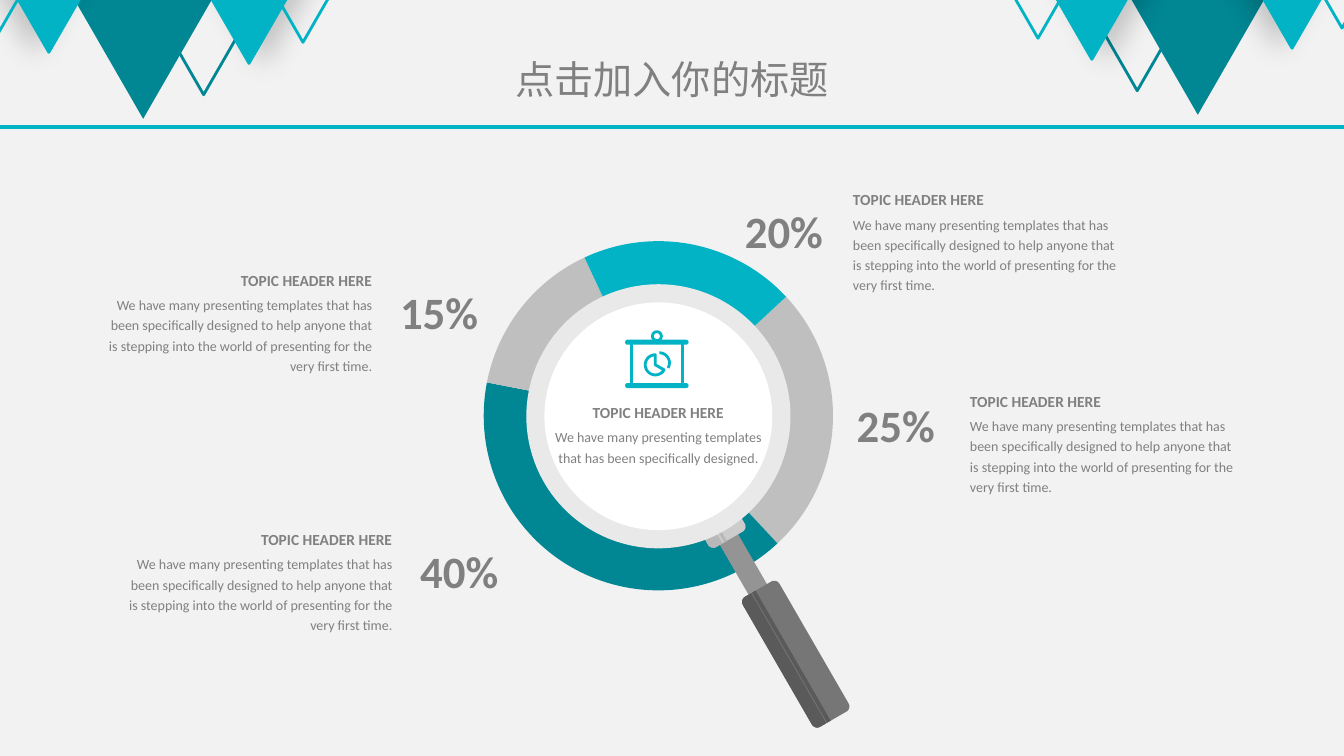
from math import cos, radians, sin

from lxml import etree
from pptx import Presentation
from pptx.chart.data import CategoryChartData
from pptx.dml.color import RGBColor
from pptx.enum.chart import XL_CHART_TYPE as Chart
from pptx.enum.shapes import MSO_CONNECTOR as Connector, MSO_SHAPE as Preset
from pptx.enum.text import PP_ALIGN as Align
from pptx.oxml import parse_xml
from pptx.oxml.ns import nsdecls, qn
from pptx.util import Inches, Pt

BACKDROP = RGBColor(0xF2, 0xF2, 0xF2)
CYAN = RGBColor(0x01, 0xB3, 0xC5)
TEAL = RGBColor(0x01, 0x86, 0x94)
TEXT_GREY = RGBColor(0x80, 0x80, 0x80)
RING_GREY = RGBColor(0xBF, 0xBF, 0xBF)
RIM = RGBColor(0xE9, 0xE9, 0xE9)
WHITE = RGBColor(0xFF, 0xFF, 0xFF)
STEM = RGBColor(0x94, 0x94, 0x94)
COLLAR = RGBColor(0xCC, 0xCC, 0xCC)
COLLAR_SHADE = RGBColor(0xB8, 0xB8, 0xB8)
GRIP = RGBColor(0x76, 0x76, 0x76)
GRIP_SHADE = RGBColor(0x5A, 0x5A, 0x5A)

HEADER = "TOPIC HEADER HERE"
INTRO = "We have many presenting templates that has been specifically designed"
STORY = (INTRO + " to help anyone that is stepping into the world of presenting"
         " for the very first time.")


def add_text(slide, box, lines, align=Align.LEFT, font="Calibri", spacing=1.2):
    """Add a text box whose lines are (text, size, bold)."""
    frame = slide.shapes.add_textbox(*map(Inches, box)).text_frame
    frame.word_wrap = True
    frame.margin_left = frame.margin_right = frame.margin_top = frame.margin_bottom = 0
    for index, (words, size, bold) in enumerate(lines):
        paragraph = frame.add_paragraph() if index else frame.paragraphs[0]
        paragraph.alignment, paragraph.line_spacing = align, spacing
        paragraph.space_before = Pt(3 if index else 0)
        run = paragraph.add_run()
        run.text = words
        run.font.size, run.font.bold, run.font.name = Pt(size), bold, font
        run.font.color.rgb = TEXT_GREY
        etree.SubElement(run.font._element, qn("a:ea")).set("typeface", font)


def paint(shape, fill=None, line=None, width=2):
    """Give a shape a flat fill and outline."""
    shape.shadow.inherit = False
    if fill is None:
        shape.fill.background()
    else:
        shape.fill.solid()
        shape.fill.fore_color.rgb = fill
    if line is None:
        shape.line.fill.background()
    else:
        shape.line.color.rgb = line
        shape.line.width = Pt(width)
    return shape


def add_preset(slide, kind, box, **style):
    """Add a painted preset shape."""
    return paint(slide.shapes.add_shape(kind, *map(Inches, box)), **style)


def add_outline(slide, points, close=True, **style):
    """Add a painted freeform through points given in inches."""
    start, *rest = [(Inches(x), Inches(y)) for x, y in points]
    builder = slide.shapes.build_freeform(*start)
    builder.add_line_segments(rest, close=close)
    return paint(builder.convert_to_shape(), **style)


def arc(x, y, radius, start, end, steps=8):
    """Return points along an arc, with angles in degrees."""
    angles = [radians(start + (end - start) * i / steps) for i in range(steps + 1)]
    return [(x + radius * cos(a), y + radius * sin(a)) for a in angles]


def add_pennant(slide, box, mirrored, fill=None, line=None, shadow=None):
    """Add a triangle that points down, with an optional soft shadow."""
    pennant = add_preset(slide, Preset.ISOSCELES_TRIANGLE, box, fill=fill, line=line)
    xfrm = pennant._element.spPr.find(qn("a:xfrm"))
    xfrm.set("flipV", "1")
    if mirrored:
        xfrm.set("flipH", "1")
    if shadow is not None:
        pennant._element.spPr.find(qn("a:effectLst")).append(parse_xml(
            f'<a:outerShdw {nsdecls("a")} blurRad="{Pt(20)}" dist="{Pt(10)}" '
            f'dir="{shadow * 60000}" algn="ctr" rotWithShape="0"><a:srgbClr val="000000">'
            '<a:alpha val="20000"/></a:srgbClr></a:outerShdw>'))


def add_banner(slide, width):
    """Add the title, the rule below it and the pennants in both corners."""
    add_text(slide, (width / 2 - 1.88, 0.55, 3.76, 0.47), [("点击加入你的标题", 28, False)],
             align=Align.CENTER, font="Noto Sans CJK SC", spacing=1)
    rule = slide.shapes.add_connector(
        Connector.STRAIGHT, 0, Inches(1.26), Inches(width), Inches(1.26))
    rule.line.color.rgb, rule.line.width = CYAN, Pt(3)
    etree.SubElement(rule._element.spPr, qn("a:effectLst"))
    pennants = [
        (10.29, -1.62, 3.18, 2.76, True, dict(fill=TEAL)),
        (9.83, -1.62, 2.9, 2.52, True, dict(line=TEAL)),
        (9.41, -1.87, 2.84, 2.46, True, dict(fill=CYAN, line=CYAN, shadow=0)),
        (9, -1.87, 2.59, 2.25, True, dict(line=CYAN)),
        (11.53, -1.75, 2.57, 2.23, False, dict(fill=CYAN, line=CYAN, shadow=180)),
        (12.14, -1.75, 2.34, 2.03, False, dict(line=CYAN)),
    ]
    for left, top, wide, high, mirrored, style in pennants:
        add_pennant(slide, (left, top, wide, high), mirrored, **style)
    for left, top, wide, high, mirrored, style in pennants:
        box = (width - 0.03 - left - wide, top + 0.04, wide, high)
        add_pennant(slide, box, not mirrored, **style)


def add_ring(slide, box):
    """Add the doughnut chart of the four shares."""
    data = CategoryChartData()
    data.categories = ["1", "2", "3", "4"]
    data.add_series("Series 1", [25, 40, 15, 20])
    ring = slide.shapes.add_chart(Chart.DOUGHNUT, *map(Inches, box), data).chart
    ring.has_legend = ring.has_title = False
    ring.font.name, ring.font.size = "Calibri", Pt(18)
    ring.font.color.rgb = RGBColor(0, 0, 0)
    for index, color in enumerate([RING_GREY, TEAL, RING_GREY, CYAN]):
        point = ring.plots[0].series[0].points[index].format
        point.fill.solid()
        point.fill.fore_color.rgb = color
        point.line.fill.background()
    doughnut = ring.plots[0]._element
    doughnut.find(qn("c:firstSliceAng")).set("val", "47")
    doughnut.find(qn("c:holeSize")).set("val", "90")


def add_handle(slide, x, y):
    """Add the slanted handle, measured from the lens centre."""
    radius = 0.06
    bars = [
        (-0.11, 0.1, 1.31, 2.11, "", STEM),
        (-0.21, 0.21, 1.03, 1.41, "abcd", COLLAR),
        (-0.21, 0.21, 1.98, 3.47, "abcd", GRIP),
        (-0.21, -0.08, 1.98, 3.47, "ad", GRIP_SHADE),
        (-0.07, -0.03, 1.98, 3.47, "", GRIP_SHADE),
        (-0.21, -0.08, 1.19, 1.41, "d", COLLAR_SHADE),
        (-0.06, -0.03, 1.19, 1.41, "", COLLAR_SHADE),
    ]
    across, along = (cos(radians(30)), -0.5), (0.5, cos(radians(30)))
    for left, right, top, bottom, rounded, color in bars:
        corners = [("a", left, top, 1, 1, 180), ("b", right, top, -1, 1, 270),
                   ("c", right, bottom, -1, -1, 0), ("d", left, bottom, 1, -1, 90)]
        edge = []
        for name, u, v, inward, downward, start in corners:
            if name in rounded:
                edge += arc(u + inward * radius, v + downward * radius,
                            radius, start, start + 90)
            else:
                edge.append((u, v))
        add_outline(slide, [(x + u * across[0] + v * along[0], y + u * across[1] + v * along[1])
                            for u, v in edge], fill=color)


def add_icon(slide, x, y):
    """Add the presentation board with its pie, from its top left corner."""
    add_preset(slide, Preset.RECTANGLE, (x + 0.06, y + 0.12, 0.51, 0.42), line=CYAN)
    for top in (0.09, 0.52):
        bar = add_preset(slide, Preset.ROUNDED_RECTANGLE, (x, y + top, 0.63, 0.05), fill=CYAN)
        bar.adjustments[0] = 0.5
    add_preset(slide, Preset.OVAL, (x + 0.27, y + 0.01, 0.09, 0.09), line=CYAN)
    hub = (x + 0.3, y + 0.34)
    add_outline(slide, [hub] + arc(*hub, 0.1, 270, 30, 24), line=CYAN)
    add_outline(slide, arc(x + 0.34, y + 0.32, 0.1, 270, 390, 16), close=False, line=CYAN)


def add_magnifier(slide, x, y):
    """Add the ring, handle and lens around a centre, with the lens content."""
    add_ring(slide, (x - 1.87, y - 1.93, 3.74, 3.85))
    add_handle(slide, x, y)
    for radius, color in ((1.31, RIM), (1.13, WHITE)):
        add_preset(slide, Preset.OVAL, (x - radius, y - radius, 2 * radius, 2 * radius), fill=color)
    add_icon(slide, x - 0.33, y - 0.85)
    add_text(slide, (x - 1.03, y - 0.17, 2.06, 0.87),
             [(HEADER, 11, True), (INTRO + ".", 10, False)], align=Align.CENTER)


def add_topic(slide, left, top, share, share_left, share_top, align):
    """Add a topic text and its large percentage."""
    add_text(slide, (left, top, 2.62, 1.07),
             [(HEADER, 11, True), (STORY, 10, False)], align=align)
    add_text(slide, (share_left, share_top, 0.85, 0.6), [(share, 32, True)], align=Align.CENTER)


def main():
    """Build the slide and save it."""
    deck = Presentation()
    deck.slide_width, deck.slide_height = Inches(13.33), Inches(7.5)
    slide = deck.slides.add_slide(deck.slide_layouts[6])
    slide.background.fill.solid()
    slide.background.fill.fore_color.rgb = BACKDROP
    add_banner(slide, 13.33)
    add_magnifier(slide, 6.53, 4.13)
    add_topic(slide, 1.07, 2.65, "15%", 3.93, 2.72, Align.RIGHT)
    add_topic(slide, 1.27, 5.22, "40%", 4.13, 5.29, Align.RIGHT)
    add_topic(slide, 8.46, 1.85, "20%", 7.35, 1.91, Align.LEFT)
    add_topic(slide, 9.62, 3.85, "25%", 8.46, 3.84, Align.LEFT)
    deck.save("out.pptx")


if __name__ == "__main__":
    main()
